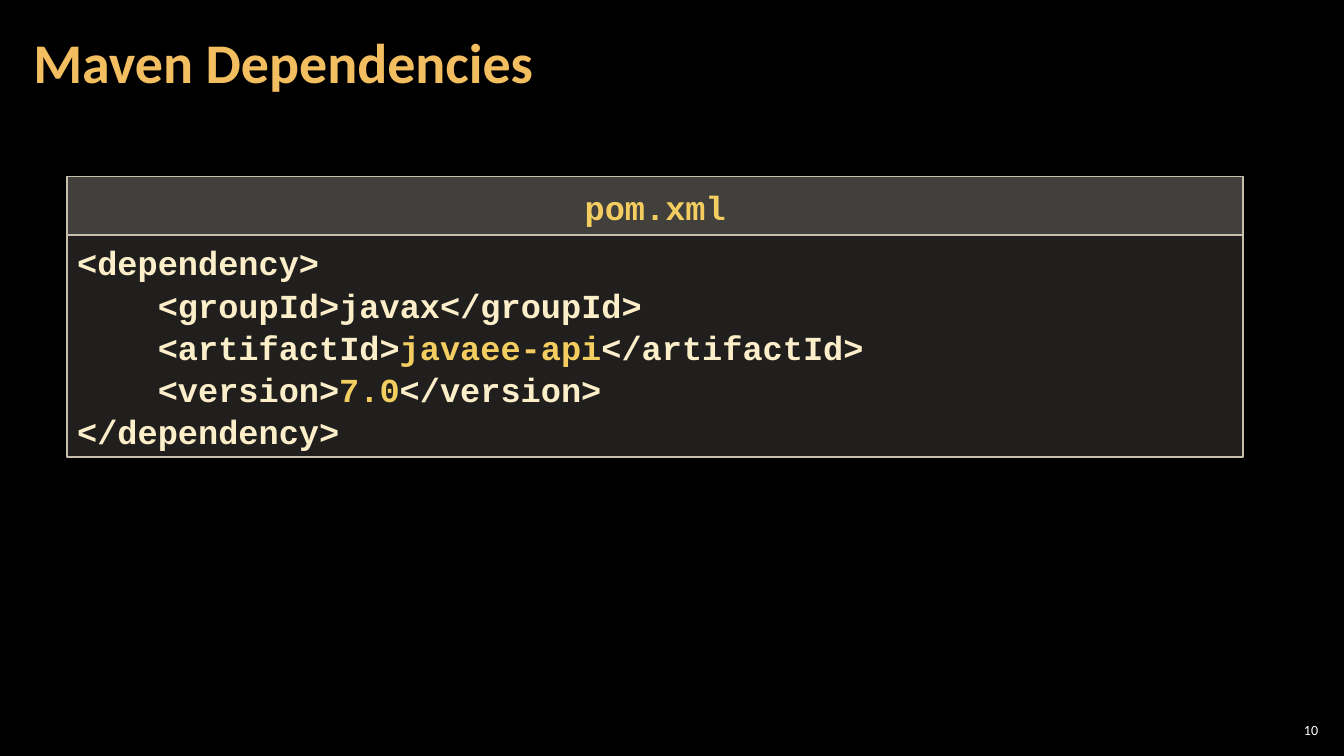
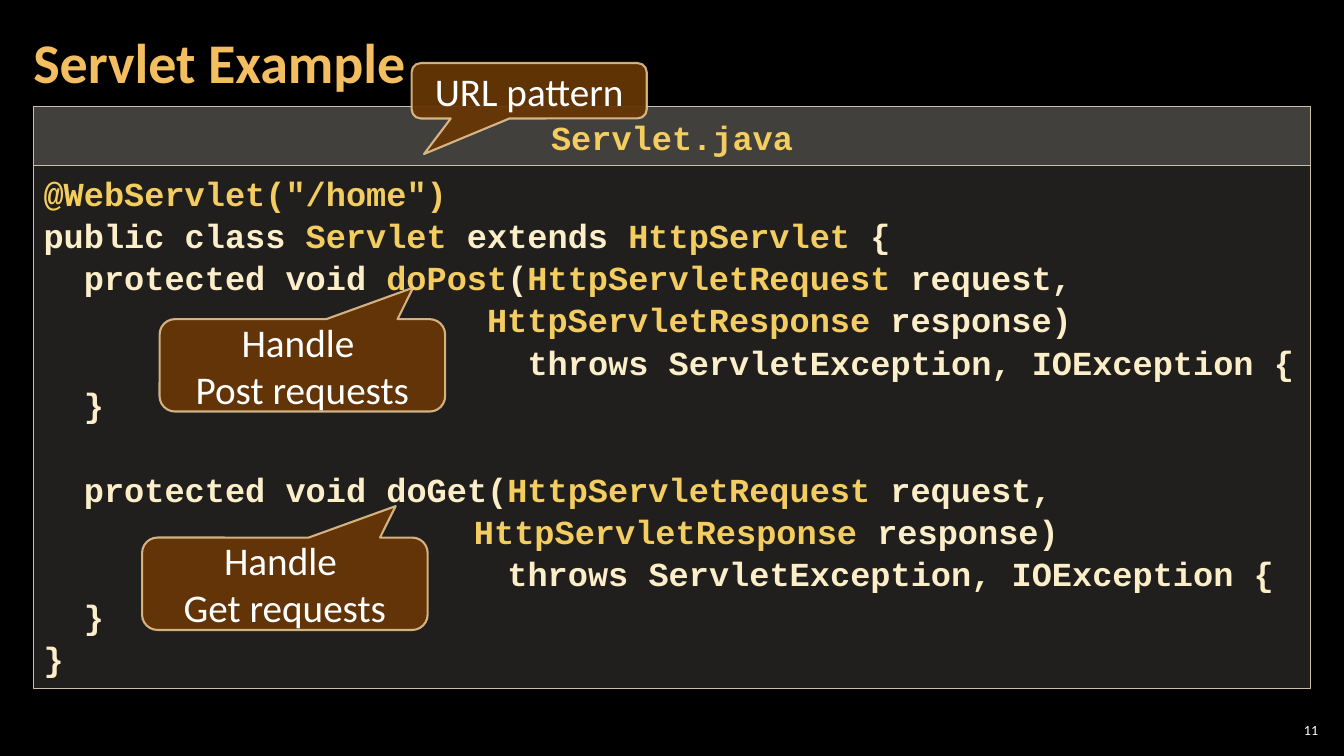
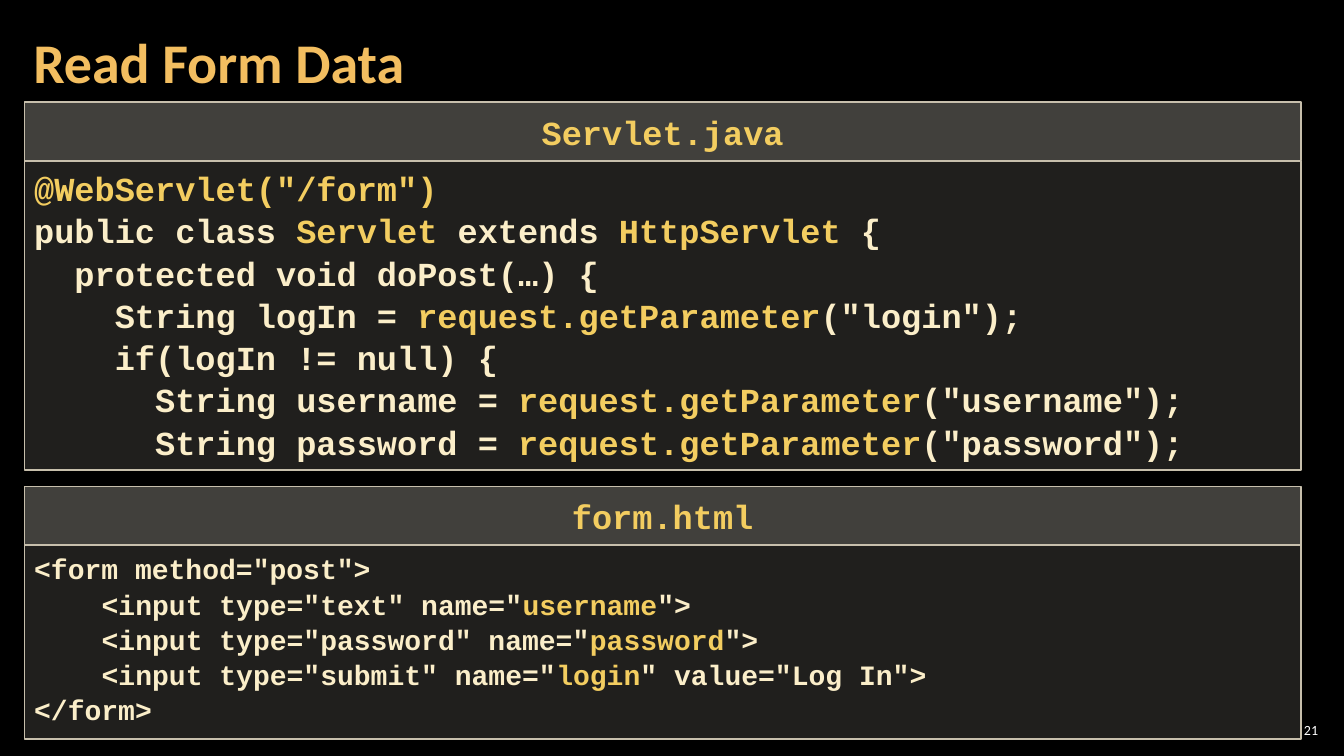
from lxml import etree
from pptx import Presentation
from pptx import util as u
from pptx.dml.color import RGBColor
from pptx.enum import shapes, text
from pptx.oxml.ns import qn

# Colours and fonts
BLACK = RGBColor(0x00, 0x00, 0x00)
WHITE = RGBColor(0xFF, 0xFF, 0xFF)
GOLD = RGBColor(0xF3, 0xBE, 0x60)
CODE = RGBColor(0xFB, 0xEE, 0xC9)
ACCENT = RGBColor(0xF3, 0xCD, 0x60)
PANEL = RGBColor(0xD9, 0xD5, 0xC7)
EDGE = RGBColor(0xC7, 0xBF, 0xAC)
BROWN = RGBColor(0x66, 0x36, 0x06)
TAN = RGBColor(0xF8, 0xD4, 0x9E)
SANS, MONO = "Calibri", "Courier New"

TITLE = dict(size=u.Pt(40), name=SANS, bold=True)
NUMBER = dict(size=u.Pt(10), name=SANS)
NOTE = dict(size=u.Pt(28), name=SANS)

prs = Presentation()
prs.slide_width, prs.slide_height = u.Inches(13.333), u.Inches(7.5)
COL, ROW = prs.slide_width / 40, prs.slide_height / 90
HEAD_ROWS = 7
fill = prs.slide_master.background.fill
fill.solid()
fill.fore_color.rgb = BLACK


def add_box(s, kind, at, look=None):
    """Place a box on the grid; look is fill, fill %, line, line %, width."""
    x, y, w, h = (int(n * unit) for n, unit in zip(at, (COL, ROW, COL, ROW)))
    if look is None:
        return s.shapes.add_textbox(x, y, w, h)
    sp = s.shapes.add_shape(kind, x, y, w, h)
    sp.shadow.inherit = False
    colour, opacity, edge, edge_opacity, width = look
    sp.fill.solid()
    sp.fill.fore_color.rgb = colour
    sp.line.color.rgb = edge
    sp.line.width = u.Pt(width)
    for clr, share in zip(sp._element.spPr.iter(qn("a:srgbClr")), (opacity, edge_opacity)):
        etree.SubElement(clr, qn("a:alpha"), val=str(share * 1000))
    return sp


def write(sp, lines, fmt, colours, align, spacing=1.0, margins=(0.1, 0.05),
          anchor=text.MSO_ANCHOR.MIDDLE):
    """Fill a box; text between ~ marks takes the second colour.

    A line may be (text, left indent in inches, points of space before).
    """
    tf = sp.text_frame
    tf.word_wrap = True
    tf.vertical_anchor = anchor
    tf.margin_left = tf.margin_right = u.Inches(margins[0])
    tf.margin_top = tf.margin_bottom = u.Inches(margins[1])
    for i, line in enumerate(lines):
        words, indent, before = line if isinstance(line, tuple) else (line, 0, 0)
        p = tf.add_paragraph() if i else tf.paragraphs[0]
        p.alignment, p.line_spacing = align, spacing
        if indent:
            p._p.get_or_add_pPr().set("marL", str(u.Inches(indent)))
        if before:
            p.space_before = u.Pt(before)
        for j, part in enumerate(words.split("~")):
            for k, piece in enumerate(part.split("\n")):
                if k:
                    p.add_line_break()
                if piece:
                    r = p.add_run()
                    r.text = piece
                    for key, value in fmt.items():
                        setattr(r.font, key, value)
                    r.font.color.rgb = colours[j % 2]


# Code listings
POM = [
    "<dependency>",
    "    <groupId>javax</groupId>",
    "    <artifactId>~javaee-api~</artifactId>",
    "    <version>~7.0~</version>",
    "</dependency>",
]
HANDLERS = [
    '~@WebServlet("/home")',
    "public class ~Servlet~ extends ~HttpServlet~ {",
    "  protected void ~doPost~(~HttpServletRequest~ request,",
    ("~HttpServletResponse ~response)", 4.4, 0),
    "                        throws ServletException, IOException {",
    "  }",
    ("  protected void doGet(~HttpServletRequest~ request,", 0, 30.2),
    ("~HttpServletResponse ~response)", 4.27, 0),
    "                       throws ServletException, IOException {",
    "  }",
    "}",
]
READER = [
    '~@WebServlet("/form")',
    "public class ~Servlet~ extends ~HttpServlet ~{",
    "  protected void doPost(…) {",
    '    String logIn = ~request.getParameter~("login");',
    "    if(logIn != null) {",
    '      String username = ~request.getParameter~("username");',
    '      String password = ~request.getParameter~("password");',
]
FORM = [
    '<form method="post">',
    ('<input type="text" name="~username~">', 0.67, 0),
    ('<input type="password" name="~password~">', 0.67, 0),
    ('<input type="submit" name="~login~" value="Log In">', 0.67, 0),
    "</form>",
]

# Slides: panels are (file, left, top, columns, body rows, size, code),
# callouts are (text, place, pointer)
POINT_UP = (0.388, -0.841, 0.167)
SLIDES = [
    ("Maven Dependencies", "10",
     [("pom.xml", 2, 21, 35, 26.4, 24, POM)], []),
    ("Servlet Example", "11",
     [("Servlet.java", 1, 12.7, 38, 62.3, 24, HANDLERS)],
     [("Handle \nPost requests", (4.75, 38, 8.5, 11), POINT_UP),
      ("Handle \nGet requests", (4.23, 64, 8.5, 11), POINT_UP),
      ("URL pattern", (12.25, 7.5, 7, 6.6), (-0.447, 1.141, 0.167))]),
    ("Read Form Data", "21",
     [("Servlet.java", 0.72, 12.15, 38, 36.8, 24, READER),
      ("form.html", 0.72, 57.9, 38, 23.1, 20, FORM)], []),
]

LEFT, CENTER, RIGHT = text.PP_ALIGN.LEFT, text.PP_ALIGN.CENTER, text.PP_ALIGN.RIGHT
RECT = shapes.MSO_SHAPE.RECTANGLE
CALLOUT = shapes.MSO_SHAPE.ROUNDED_RECTANGULAR_CALLOUT

for title, number, panels, callouts in SLIDES:
    s = prs.slides.add_slide(prs.slide_layouts[6])

    # Page number and title
    write(add_box(s, None, (37.95, 85.7, 1.4, 2.5)), [number], NUMBER, (WHITE, WHITE),
          RIGHT, margins=(0.04, 0.04))
    write(add_box(s, None, (0.63, 0.5, 31.4, 14.5)), [title], TITLE, (GOLD, GOLD),
          LEFT, spacing=0.9, margins=(0.12, 0.04))

    # Code panels with their file names
    for name, x, y, cols, rows, size, code in panels:
        body = add_box(s, RECT, (x, y + HEAD_ROWS, cols, rows), (PANEL, 15, EDGE, 100, 1))
        write(body, code, dict(size=u.Pt(size), name=MONO, bold=True), (CODE, ACCENT),
              LEFT, spacing=1.05, anchor=text.MSO_ANCHOR.TOP)
        head = add_box(s, RECT, (x, y, cols, HEAD_ROWS), (PANEL, 30, EDGE, 100, 1))
        write(head, [name], dict(size=u.Pt(24), name=MONO, bold=True), (ACCENT, ACCENT),
              CENTER, spacing=1.05, margins=(0.1, 0.08), anchor=text.MSO_ANCHOR.TOP)

    # Callouts
    for words, at, pointer in callouts:
        sp = add_box(s, CALLOUT, at, (BROWN, 95, TAN, 80, 1.5))
        for i, value in enumerate(pointer):
            sp.adjustments[i] = value
        write(sp, [words], NOTE, (WHITE, WHITE), CENTER)

prs.save("out.pptx")
